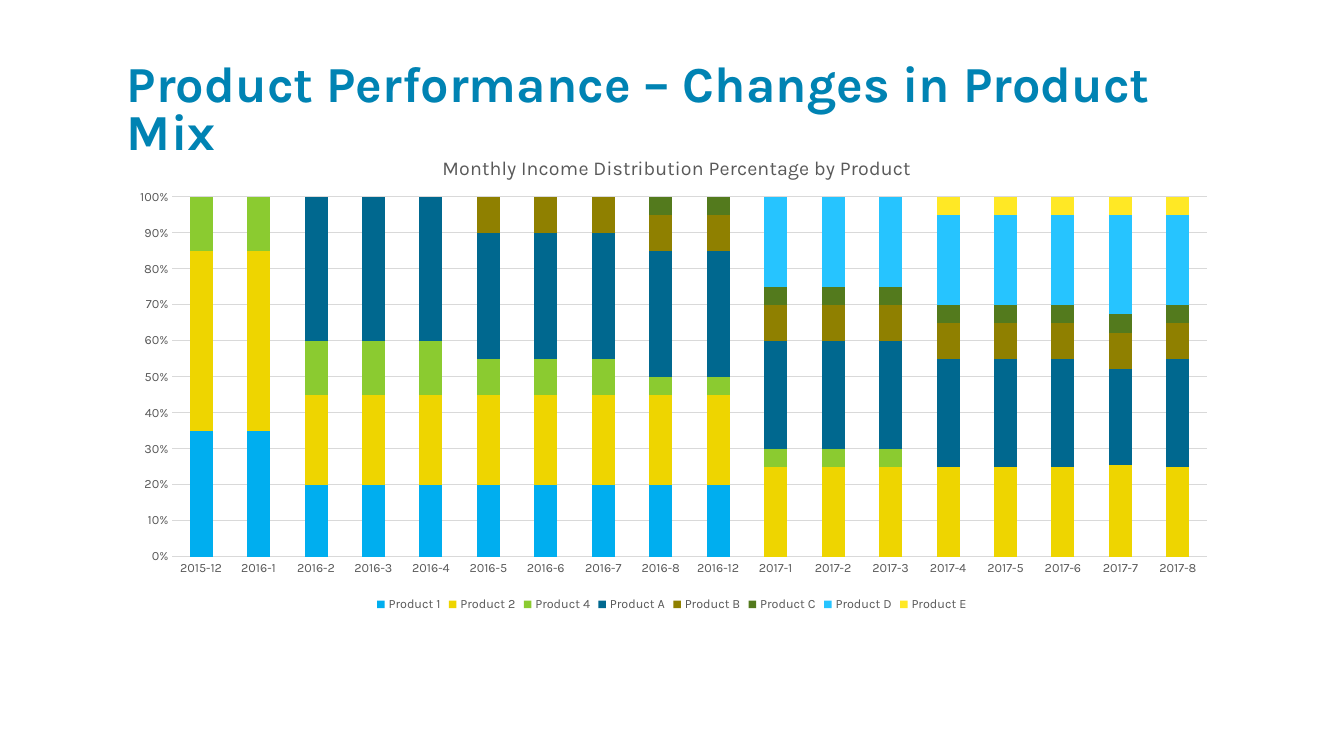
from lxml.etree import SubElement
from pptx import Presentation
from pptx.chart.data import CategoryChartData
from pptx.dml.color import RGBColor
from pptx.enum.chart import XL_CHART_TYPE, XL_LEGEND_POSITION, XL_TICK_MARK
from pptx.enum.text import MSO_ANCHOR, MSO_AUTO_SIZE, PP_ALIGN
from pptx.oxml.ns import qn
from pptx.util import Pt

FONT = "Karla"
COLORS = {"title": "0083B3", "label": "595959", "grid": "D9D9D9", "text": "000000"}
MONTHS = (
    ["2015-12"]
    + [f"2016-{month}" for month in (*range(1, 9), 12)]
    + [f"2017-{month}" for month in range(1, 9)]
)
PRODUCTS = [
    ("Product 1", "00AEEF", [35] * 2 + [20] * 8 + [0] * 8),
    ("Product 2", "EED500", [50] * 2 + [25] * 16),
    ("Product 4", "8BCB30", [15] * 5 + [10] * 3 + [5] * 5 + [0] * 5),
    ("Product A", "00688F", [0] * 2 + [40] * 3 + [35] * 5 + [30] * 6 + [26, 30]),
    ("Product B", "8F8000", [0] * 5 + [10] * 13),
    ("Product C", "537A1D", [0] * 8 + [5] * 10),
    ("Product D", "26C4FF", [0] * 10 + [25] * 6 + [27, 25]),
    ("Product E", "FFE825", [0] * 13 + [5] * 5),
]


def style_font(font, size, color, bold=False):
    """Apply the slide's typeface with a size, colour and weight."""
    font.name = FONT
    font.size = Pt(size)
    font.bold = bold
    font.color.rgb = RGBColor.from_string(COLORS[color])


def style_line(line):
    """Draw a thin grid-coloured line."""
    line.width = Pt(0.75)
    line.color.rgb = RGBColor.from_string(COLORS["grid"])


def set_layout(element, index, **fractions):
    """Place a chart part by fractions of the chart area."""
    for layout in element.findall(qn("c:layout")):
        element.remove(layout)
    layout = SubElement(element, qn("c:layout"))
    element.remove(layout)
    element.insert(index, layout)
    manual = SubElement(layout, qn("c:manualLayout"))
    if "w" in fractions:
        SubElement(manual, qn("c:layoutTarget"), val="inner")
    for name in ("x", "y"):
        SubElement(manual, qn(f"c:{name}Mode"), val="edge")
    for name, value in fractions.items():
        SubElement(manual, qn(f"c:{name}"), val=str(value))


def place_title(slide, left, top, width, height):
    """Fill and place the slide title."""
    title = slide.shapes.title
    title.left, title.top, title.width, title.height = left, top, width, height
    frame = title.text_frame
    frame.text = "Product Performance – Changes in Product Mix"
    frame.word_wrap = True
    frame.auto_size = MSO_AUTO_SIZE.NONE
    frame.vertical_anchor = MSO_ANCHOR.TOP
    paragraph = frame.paragraphs[0]
    paragraph.alignment = PP_ALIGN.LEFT
    paragraph.line_spacing = 0.8
    style_font(paragraph.font, 36, "title", bold=True)


def style_axes(chart):
    """Format both axes and the gridlines."""
    for axis in (chart.category_axis, chart.value_axis):
        axis.major_tick_mark = axis.minor_tick_mark = XL_TICK_MARK.NONE
        style_font(axis.tick_labels.font, 9, "label")
    style_line(chart.category_axis.format.line)
    values = chart.value_axis
    values.minimum_scale, values.maximum_scale, values.major_unit = 0, 1, 0.1
    values.format.line.fill.background()
    values.has_major_gridlines = True
    style_line(values.major_gridlines.format.line)
    values.tick_labels.number_format = "0%"
    values.tick_labels.number_format_is_linked = False


def place_chart(slide, left, top, width, height):
    """Add the product mix chart in the given box."""
    data = CategoryChartData(number_format="0")
    data.categories = MONTHS
    for name, _, shares in PRODUCTS:
        data.add_series(name, shares)
    chart = slide.shapes.add_chart(
        XL_CHART_TYPE.COLUMN_STACKED_100, left, top, width, height, data
    ).chart
    style_font(chart.font, 10, "text")

    chart.has_title = True
    frame = chart.chart_title.text_frame
    frame.text = "Monthly Income Distribution Percentage by Product"
    style_font(frame.paragraphs[0].font, 14, "label")
    set_layout(chart.chart_title._element, 1, x=0.29, y=0.04)

    plot = chart.plots[0]
    plot.gap_width, plot.overlap = 150, 100
    plot.vary_by_categories = False
    for series, (_, color, _) in zip(plot.series, PRODUCTS):
        series.format.fill.solid()
        series.format.fill.fore_color.rgb = RGBColor.from_string(color)
    plot_area = chart._chartSpace.chart.plotArea
    set_layout(plot_area, 0, x=0.05, y=0.134, w=0.932, h=0.744)
    style_axes(chart)

    chart.has_legend = True
    chart.legend.position = XL_LEGEND_POSITION.BOTTOM
    chart.legend.include_in_layout = False
    style_font(chart.legend.font, 9, "label")


def main():
    """Build and save the presentation."""
    presentation = Presentation()
    presentation.slide_width, presentation.slide_height = Pt(960), Pt(540)
    slide = presentation.slides.add_slide(presentation.slide_layouts[5])
    place_title(slide, Pt(83.5), Pt(41.8), Pt(758.9), Pt(52.5))
    place_chart(slide, Pt(83.5), Pt(94.3), Pt(792.7), Pt(345.6))
    presentation.save("out.pptx")


if __name__ == "__main__":
    main()
